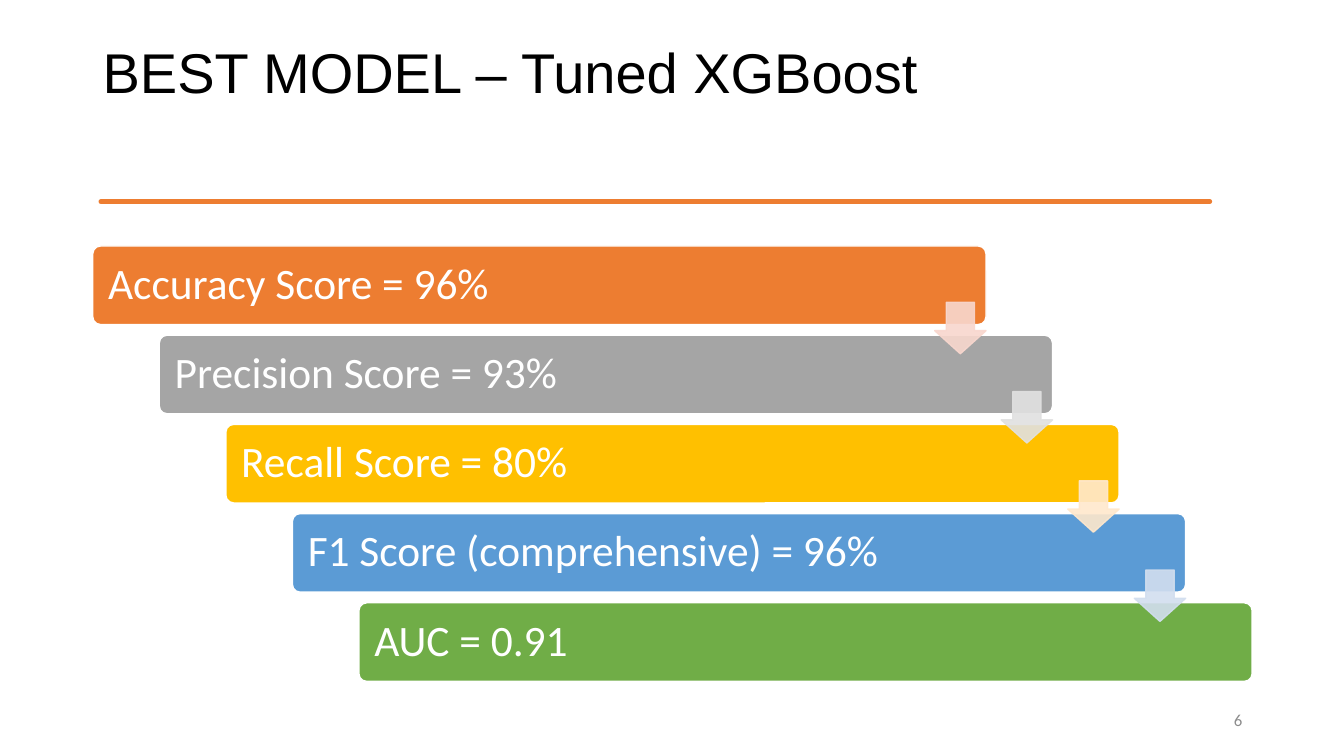
from lxml import etree
from pptx import Presentation
from pptx import util as u
from pptx.dml.color import RGBColor
from pptx.enum import shapes, text
from pptx.oxml import ns

WHITE = RGBColor(0xFF, 0xFF, 0xFF)
BLACK = RGBColor(0x00, 0x00, 0x00)
GREY = RGBColor(0x8C, 0x8C, 0x8C)
ORANGE = RGBColor(0xED, 0x7D, 0x31)

SCORES = [
    ("Accuracy Score = 96%", ORANGE, RGBColor(0xF8, 0xD7, 0xCE)),
    ("Precision Score = 93%", RGBColor(0xA5, 0xA5, 0xA5), RGBColor(0xE1, 0xE1, 0xE1)),
    ("Recall Score = 80%", RGBColor(0xFF, 0xC0, 0x00), RGBColor(0xFF, 0xE8, 0xCC)),
    ("F1 Score (comprehensive) = 96%", RGBColor(0x5B, 0x9B, 0xD5), RGBColor(0xD2, 0xDE, 0xEF)),
    ("AUC = 0.91", RGBColor(0x70, 0xAD, 0x47), None),
]
LEFT, TOP = 0.92, 2.44
STEP_X, STEP_Y = 0.66, 0.885
BAR_W, BAR_H = 8.86, 0.78
ARROW = 0.51

deck = Presentation()
deck.slide_width = u.Inches(13.33)
deck.slide_height = u.Inches(7.5)
page = deck.slides.add_slide(deck.slide_layouts[6])


def paint(shape, fill, line, width):
    shape.shadow.inherit = False
    shape.fill.solid()
    shape.fill.fore_color.rgb = fill
    shape.line.color.rgb = line
    shape.line.width = u.Pt(width)


def write(shape, words, font, size, color, align, anchor):
    frame = shape.text_frame
    frame.word_wrap = True
    frame.vertical_anchor = anchor
    para = frame.paragraphs[0]
    para.text = words
    para.alignment = align
    para.line_spacing = 0.9
    span = para.runs[0]
    span.font.name = font
    span.font.size = u.Pt(size)
    span.font.color.rgb = color


title = page.shapes.add_textbox(u.Inches(LEFT), u.Inches(0.4), u.Inches(11.5), u.Inches(1.45))
write(title, "BEST MODEL – Tuned XGBoost", "Arial", 40, BLACK,
      text.PP_ALIGN.LEFT, text.MSO_ANCHOR.TOP)

upper = [(0.92, 2.04), (1.5, 2.03), (1.9, 2.04), (2.44, 2.04), (3.31, 2.04), (3.7, 2.03),
         (4.6, 2.04), (5.48, 2.04), (5.95, 2.03), (6.31, 2.04), (6.9, 2.02), (7.3, 2.04),
         (8.06, 2.04), (8.48, 2.03), (8.9, 2.04), (9.45, 2.02), (10.23, 2.04), (10.87, 2.04),
         (11.6, 2.03), (12.32, 2.04)]
lower = [(12.32, 2.06), (11.8, 2.05), (11.3, 2.07), (10.68, 2.06), (9.81, 2.06), (9.28, 2.06),
         (8.6, 2.08), (8.06, 2.05), (7.53, 2.06), (7.11, 2.06), (6.35, 2.06), (5.7, 2.06),
         (5.06, 2.06), (4.41, 2.06), (3.95, 2.08), (3.5, 2.05), (2.89, 2.06), (2.5, 2.07),
         (2.13, 2.06), (1.5, 2.07), (0.92, 2.06)]
outline = upper + lower
builder = page.shapes.build_freeform(*outline[0], scale=u.Inches(1))
builder.add_line_segments(outline[1:], close=True)
rule = builder.convert_to_shape()
paint(rule, ORANGE, ORANGE, 3.25)
etree.SubElement(rule.line._get_or_add_ln(), ns.qn("a:round"))

number = page.shapes.add_textbox(u.Inches(9.42), u.Inches(6.95), u.Inches(3), u.Inches(0.4))
write(number, "6", "Calibri", 12, GREY, text.PP_ALIGN.RIGHT, text.MSO_ANCHOR.MIDDLE)

for row, (words, color, tint) in enumerate(SCORES):
    bar = page.shapes.add_shape(
        shapes.MSO_SHAPE.ROUNDED_RECTANGLE,
        u.Inches(LEFT + row * STEP_X), u.Inches(TOP + row * STEP_Y),
        u.Inches(BAR_W), u.Inches(BAR_H))
    bar.adjustments[0] = 0.1
    paint(bar, color, WHITE, 1)
    bar.text_frame.margin_left = u.Inches(0.13)
    write(bar, words, "Calibri", 31, WHITE, text.PP_ALIGN.LEFT, text.MSO_ANCHOR.MIDDLE)

for row, (words, color, tint) in enumerate(SCORES[:-1]):
    arrow = page.shapes.add_shape(
        shapes.MSO_SHAPE.DOWN_ARROW,
        u.Inches(LEFT + BAR_W - ARROW + row * STEP_X), u.Inches(3 + row * STEP_Y),
        u.Inches(ARROW), u.Inches(ARROW))
    arrow.adjustments[0] = 0.45
    arrow.adjustments[1] = 0.55
    arrow.adjustments[0], arrow.adjustments[1] = 0.55, 0.45
    paint(arrow, tint, tint, 1)
    for shade in arrow._element.spPr.iter(ns.qn("a:srgbClr")):
        etree.SubElement(shade, ns.qn("a:alpha"), val="90000")

deck.save("out.pptx")
